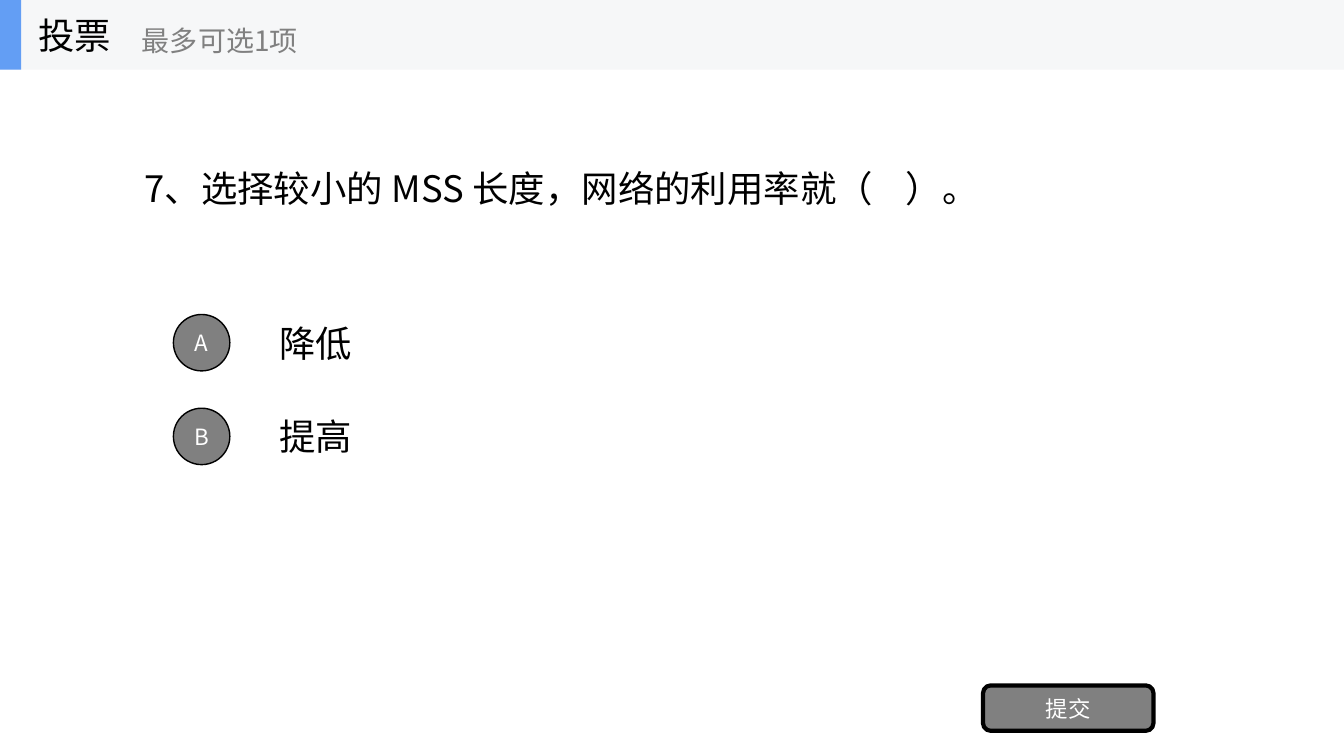
from lxml import etree
from pptx import Presentation
from pptx import util as u
from pptx.dml.color import RGBColor
from pptx.enum import shapes, text
from pptx.oxml import ns

WIDTH, HEIGHT = 13.33, 7.5
HEADER_HEIGHT = 0.69
OPTION_HEIGHT, OPTION_PITCH = 0.7, 0.93
BADGE_SIZE = 0.56
FONT = "Noto Sans CJK SC"
BLACK, GREY, WHITE = "000000", "808080", "FFFFFF"


def colour(value):
    return RGBColor.from_string(value)


def write(shape, words, size=26, color=BLACK, align=text.PP_ALIGN.LEFT, inset=0.1):
    frame = shape.text_frame
    frame.word_wrap = True
    frame.auto_size = text.MSO_AUTO_SIZE.NONE
    frame.vertical_anchor = text.MSO_ANCHOR.MIDDLE
    frame.margin_left = frame.margin_right = u.Inches(inset)
    frame.margin_top = frame.margin_bottom = u.Inches(inset / 2)
    paragraph = frame.paragraphs[0]
    paragraph.alignment = align
    run = paragraph.add_run()
    run.text = words
    run.font.size = u.Pt(size)
    run.font.color.rgb = colour(color)
    run.font.name = FONT
    etree.SubElement(run.font._element, ns.qn("a:ea"), typeface=FONT)


def add_label(slide, box, words, **style):
    write(slide.shapes.add_textbox(*map(u.Inches, box)), words, **style)


def add_block(slide, kind, box, fill, outline=0):
    """Add a filled shape; outline is the width of its black border in points."""
    shape = slide.shapes.add_shape(kind, *map(u.Inches, box))
    shape.shadow.inherit = False
    shape.fill.solid()
    shape.fill.fore_color.rgb = colour(fill)
    if outline:
        shape.line.color.rgb = colour(BLACK)
        shape.line.width = u.Pt(outline)
    else:
        shape.line.fill.background()
    return shape


def add_button(slide, kind, box, words, outline):
    button = add_block(slide, kind, box, GREY, outline)
    write(button, words, size=16, color=WHITE, align=text.PP_ALIGN.CENTER, inset=0)


def add_header(slide, box, heading, hint):
    left, top, width, height = box
    rectangle = shapes.MSO_SHAPE.RECTANGLE
    add_block(slide, rectangle, box, "F6F7F8")
    add_block(slide, rectangle, (left, top, 0.21, height), "639EF4")
    add_label(slide, (left + 0.28, top, 2.08, height), heading)
    add_label(slide, (left + 1.31, top + 0.12, 2.5, 0.56), hint, size=20, color=GREY)


def add_question(slide, box, words):
    title = slide.shapes.title
    title.left, title.top, title.width, title.height = map(u.Inches, box)
    write(title, words)


def add_options(slide, box, answers):
    left, top, width, _ = box
    label_offset = 0.95
    for row, (letter, answer) in enumerate(answers):
        row_top = top + row * OPTION_PITCH
        badge_top = row_top + (OPTION_HEIGHT - BADGE_SIZE) / 2
        add_label(slide, (left + label_offset, row_top, width - label_offset, OPTION_HEIGHT), answer)
        add_button(slide, shapes.MSO_SHAPE.OVAL,
                   (left, badge_top, BADGE_SIZE, BADGE_SIZE), letter, outline=1)


def main():
    presentation = Presentation()
    presentation.slide_width = u.Inches(WIDTH)
    presentation.slide_height = u.Inches(HEIGHT)
    slide = presentation.slides.add_slide(presentation.slide_layouts.get_by_name("Title Only"))

    add_question(slide, (WIDTH * 0.1, HEADER_HEIGHT, WIDTH * 0.8, 2.34),
                 "7、选择较小的 MSS 长度，网络的利用率就（    ）。")
    add_options(slide, (1.72, 3.05, 10.28, 2 * OPTION_PITCH), [("A", "降低"), ("B", "提高")])
    add_button(slide, shapes.MSO_SHAPE.ROUNDED_RECTANGLE,
               (9.75, 6.8, 1.69, 0.45), "提交", outline=3)
    add_header(slide, (0, 0, WIDTH, HEADER_HEIGHT), "投票", "最多可选1项")
    presentation.save("out.pptx")


if __name__ == "__main__":
    main()
